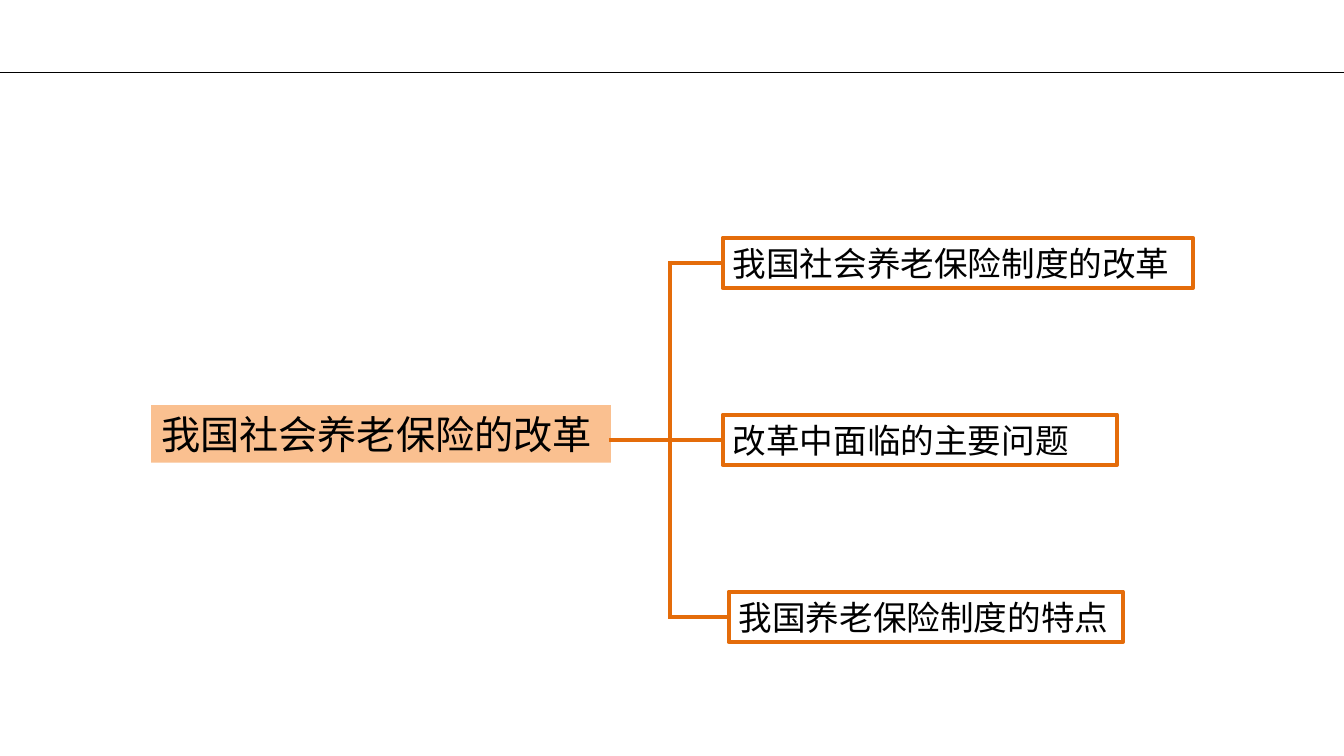
"""Build a mind map slide on the reform of social pension insurance."""
from lxml import etree
from pptx import Presentation
from pptx import util as u
from pptx.dml.color import RGBColor
from pptx.enum import shapes, text
from pptx.oxml.ns import qn

ORANGE = "E46C0A"


def line(x1, y1, x2, y2, color, width):
    link = slide.shapes.add_connector(
        shapes.MSO_CONNECTOR.STRAIGHT, u.Cm(x1), u.Cm(y1), u.Cm(x2), u.Cm(y2))
    link.line.color.rgb = RGBColor.from_string(color)
    link.line.width = u.Pt(width)
    etree.SubElement(link._element.spPr, qn("a:effectLst"))
    return link


def label(words, left, top, width, height, size):
    box = slide.shapes.add_textbox(u.Cm(left), u.Cm(top), u.Cm(width), u.Cm(height))
    frame = box.text_frame
    frame.word_wrap = True
    frame.auto_size = text.MSO_AUTO_SIZE.SHAPE_TO_FIT_TEXT
    run = frame.paragraphs[0].add_run()
    run.text = words
    run.font.size = u.Pt(size)
    run.font.name = "Calibri"
    run.font.color.rgb = RGBColor.from_string("000000")
    return box


deck = Presentation()
deck.slide_width, deck.slide_height = u.Cm(33.86), u.Cm(19.05)
slide = deck.slides.add_slide(deck.slide_layouts[6])

line(0, 1.83, 33.86, 1.83, "000000", 1)

root = label("我国社会养老保险的改革", 3.81, 10.21, 11.58, 1.45, 28)
root.fill.solid()
root.fill.fore_color.rgb = RGBColor.from_string("FAC090")

topics = [
    ("我国社会养老保险制度的改革", 18.21, 11.84),
    ("改革中面临的主要问题", 18.21, 9.93),
    ("我国养老保险制度的特点", 18.36, 9.93),
]
first, step, high, trunk = 5.99, 4.46, 1.27, 16.87
mids = [first + i * step + high / 2 for i in range(len(topics))]

for (words, left, width), mid in zip(topics, mids):
    topic = label(words, left, mid - high / 2, width, high, 24)
    topic.line.color.rgb = RGBColor.from_string(ORANGE)
    topic.line.width = u.Pt(3)
    line(trunk, mid, left, mid, ORANGE, 3).end_connect(topic, 1)

line(15.34, mids[1], trunk, mids[1], ORANGE, 3)
line(trunk, mids[0] - 0.05, trunk, mids[-1] + 0.05, ORANGE, 3)

deck.save("out.pptx")
